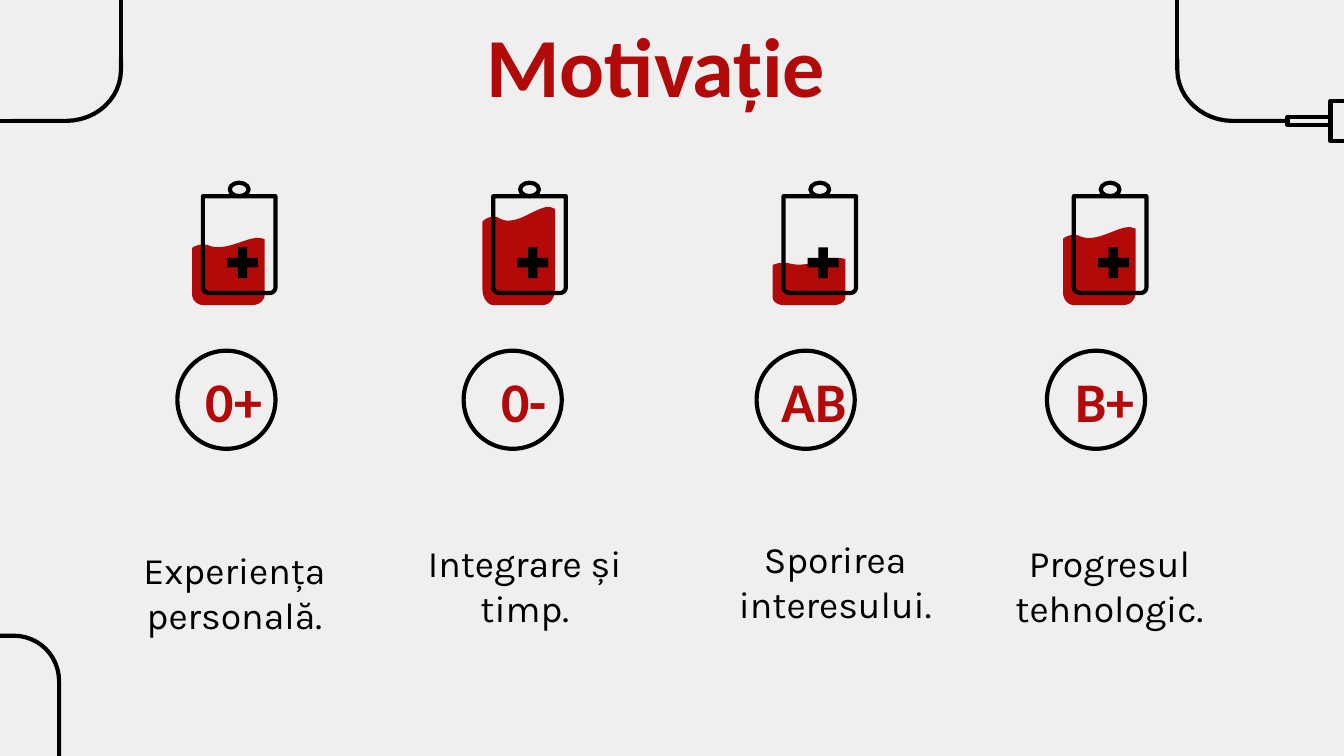
from lxml import etree
from pptx import Presentation
from pptx.dml.color import RGBColor
from pptx.enum.shapes import MSO_CONNECTOR, MSO_SHAPE
from pptx.enum.text import MSO_ANCHOR, PP_ALIGN
from pptx.oxml.ns import qn
from pptx.util import Inches, Pt

OVAL, RECTANGLE = MSO_SHAPE.OVAL, MSO_SHAPE.RECTANGLE
STRAIGHT = MSO_CONNECTOR.STRAIGHT
MIDDLE, TOP, CENTER = MSO_ANCHOR.MIDDLE, MSO_ANCHOR.TOP, PP_ALIGN.CENTER
RED, BLACK, BACKGROUND = "B20909", "000000", "EFEFEF"
WIDTH = 10
HEIGHT = WIDTH * 9 / 16
COLUMN_STEP = 2.16
CURVE_STEPS = 12

presentation = Presentation()
presentation.slide_width, presentation.slide_height = Inches(WIDTH), Inches(HEIGHT)
slide = presentation.slides.add_slide(presentation.slide_layouts[6])
slide.background.fill.solid()
slide.background.fill.fore_color.rgb = RGBColor.from_string(BACKGROUND)


def paint(shape, fill=None, line=None):
    """Give a shape a plain fill and a 2.25 pt line, or none."""
    shape.shadow.inherit = False
    for part, color in ((shape.fill, fill), (shape.line.fill, line)):
        if color:
            part.solid()
            part.fore_color.rgb = RGBColor.from_string(color)
        else:
            part.background()
    if line:
        shape.line.width = Pt(2.25)


def trace(steps, closed=False, fill=None, line=None):
    """Draw an outline; a step is a point or a Bezier curve of three points."""
    points = [steps[0]]
    for step in steps[1:]:
        if len(step) == 2:
            points.append(step)
            continue
        start, first, second, end = points[-1], step[:2], step[2:4], step[4:]
        for index in range(1, CURVE_STEPS + 1):
            t = index / CURVE_STEPS
            u = 1 - t
            points.append([u**3 * a + 3 * u * u * t * b + 3 * u * t * t * c + t**3 * d
                           for a, b, c, d in zip(start, first, second, end)])
    points = [(Inches(x), Inches(y)) for x, y in points]
    builder = slide.shapes.build_freeform(*points[0])
    builder.add_line_segments(points[1:], close=closed)
    paint(builder.convert_to_shape(), fill, line)


# Tubes and the clamp at the slide's edges
tubes = [
    [(0.44, HEIGHT), (0.44, 5.07), (0.44, 4.88, 0.29, 4.73, 0.1, 4.73), (0, 4.73)],
    [(WIDTH, 1.05), (9.9, 1.05), (9.9, 0.75), (WIDTH, 0.75)],
    [(9.58, 0.9), (9.17, 0.9), (8.95, 0.9, 8.76, 0.73, 8.76, 0.52), (8.76, 0.44)],
    [(0.09, 0.9), (0.49, 0.9), (0.72, 0.9, 0.9, 0.73, 0.9, 0.52), (0.9, 0.44)],
]
for tube in tubes:
    trace(tube, line=BLACK)
trace([(9.9, 0.93), (9.9, 0.87), (9.58, 0.87), (9.58, 0.93)], closed=True, line=BLACK)

for ends in [(8.76, 0.44, 8.76, 0), (0.9, 0.44, 0.9, 0), (0.2, 0.9, 0, 0.9)]:
    connector = slide.shapes.add_connector(STRAIGHT, *map(Inches, ends))
    connector.line.color.rgb = RGBColor.from_string(BLACK)
    connector.line.width = Pt(2.25)
    etree.SubElement(connector._element.spPr, qn("a:effectLst"))

# Columns: ring left, blood level, label, reason, reason box (left, top, width)
columns = [
    (1.32, 1.77, "0+", "Experiența personală.", (0.77, 3.97, 1.95)),
    (3.45, 1.54, "0-", "Integrare și timp.", (2.93, 3.92, 1.95)),
    (5.63, 1.92, "AB", "Sporirea interesului.", (5.08, 3.89, 2.27)),
    (7.79, 1.69, "B+", "Progresul tehnologic.", (7.28, 3.92, 1.95)),
]
title_font = {"name": "Calibri", "size": Pt(45), "bold": True}
label_font = {"name": "Calibri", "size": Pt(30), "bold": True}
reason_font = {"name": "Karla", "size": Pt(20), "bold": False}
texts = [("Motivație", (1.69, 0.16, 6.38, 0.63), MIDDLE, RED, title_font)]

# Blood surface: x from the bag's left, y as a share of the blood's height
blood_bottom = 2.27
blood = [
    (0.49, 0), (0.41, 0, 0.3, 0.14, 0.19, 0.14), (0.17, 0.14, 0.15, 0.13, 0.13, 0.12),
    (0.11, 0.1, 0.1, 0.1, 0.08, 0.1), (0.05, 0.1, 0.02, 0.12, 0, 0.15),
    (0, 0.84), (0, 0.93, 0.04, 1, 0.08, 1), (0.45, 1),
    (0.5, 1, 0.54, 0.93, 0.54, 0.84), (0.54, 0.02), (0.52, 0.01, 0.51, 0, 0.49, 0),
]

for number, (ring_left, level, label, reason, reason_box) in enumerate(columns):
    offset = number * COLUMN_STEP
    ring = slide.shapes.add_shape(OVAL, *map(Inches, (ring_left, 2.61, 0.73, 0.73)))
    paint(ring, line=BLACK)

    # Blood bag: blood, hanger, bag and cross
    bag = 1.43 + offset
    trace([[bag + value if place % 2 == 0 else level + value * (blood_bottom - level)
            for place, value in enumerate(step)] for step in blood], closed=True, fill=RED)
    hanger = slide.shapes.add_shape(OVAL, *map(Inches, (bag + 0.28, 1.36, 0.14, 0.1)))
    paint(hanger, line=BLACK)
    left, right = bag + 0.08, bag + 0.62
    trace([(left, 1.46), (left, 2.14), (left, 2.16, left + 0.02, 2.18, left + 0.05, 2.18),
           (right - 0.04, 2.18), (right - 0.02, 2.18, right, 2.16, right, 2.14),
           (right, 1.46)], closed=True, line=BLACK)
    for bar in [(bag + 0.34, 1.84, 0.07, 0.23), (bag + 0.26, 1.92, 0.23, 0.07)]:
        paint(slide.shapes.add_shape(RECTANGLE, *map(Inches, bar)), fill=BLACK)

    texts += [(label, (0.83 + offset, 2.71, 1.82, 0.53), MIDDLE, RED, label_font),
              (reason, (*reason_box, 0.9), TOP, BLACK, reason_font)]

# Title, labels and reasons
for text, box, anchor, color, font in texts:
    frame = slide.shapes.add_textbox(*map(Inches, box)).text_frame
    frame_format = {"word_wrap": True, "vertical_anchor": anchor}
    frame_format.update({f"margin_{side}": Inches(0.1)
                         for side in ("left", "top", "right", "bottom")})
    for name, value in frame_format.items():
        setattr(frame, name, value)
    paragraph = frame.paragraphs[0]
    paragraph.alignment = CENTER
    run = paragraph.add_run()
    run.text = text
    for name, value in font.items():
        setattr(run.font, name, value)
    run.font.color.rgb = RGBColor.from_string(color)

presentation.save("out.pptx")
